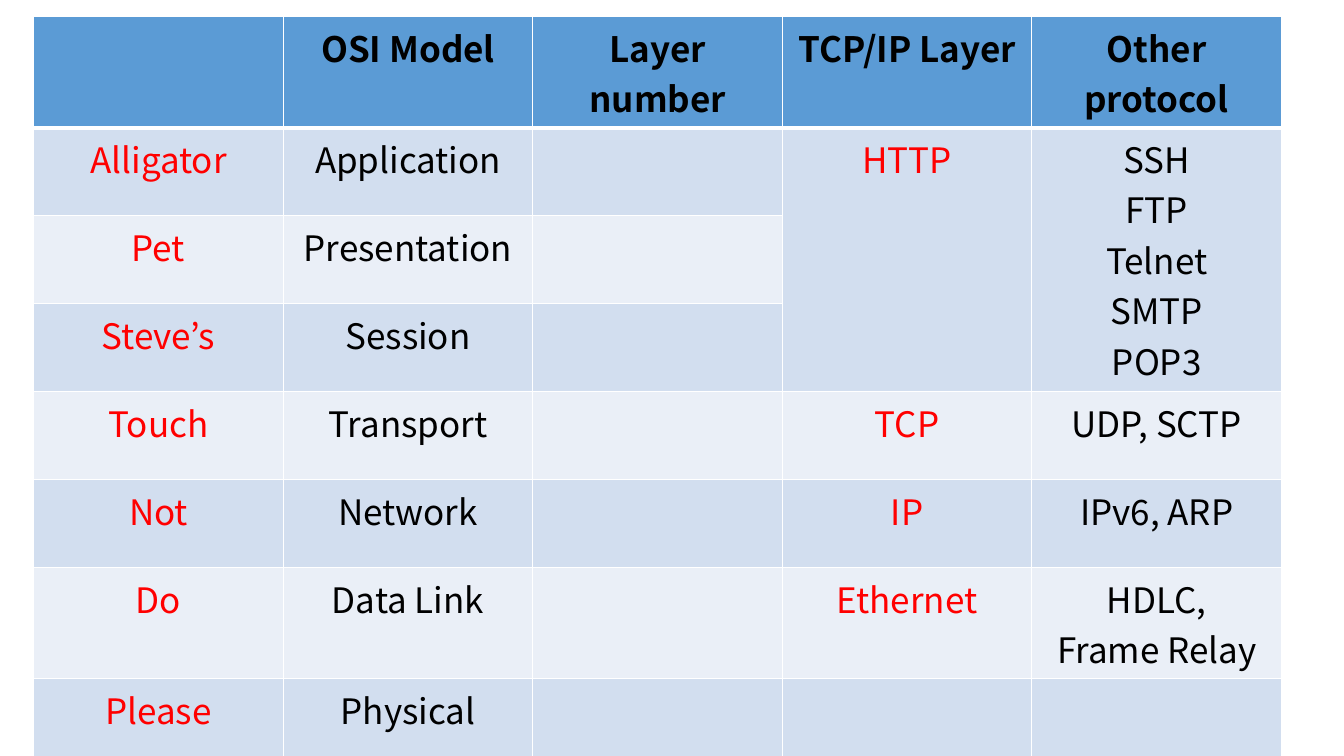
from dataclasses import dataclass

import lxml.etree
import pptx
import pptx.dml.color
import pptx.enum.text
import pptx.oxml.ns
import pptx.table
import pptx.util

Pt = pptx.util.Pt
RGBColor = pptx.dml.color.RGBColor

HEADER_BLUE = RGBColor(0x5B, 0x9B, 0xD5)
BAND_DARK = RGBColor(0xD2, 0xDE, 0xEF)
BAND_LIGHT = RGBColor(0xEA, 0xEF, 0xF7)
WHITE = RGBColor(0xFF, 0xFF, 0xFF)
BLACK = RGBColor(0x00, 0x00, 0x00)
RED = RGBColor(0xFF, 0x00, 0x00)

FONT = "Noto Sans CJK KR"
TEXT_SIZE = Pt(25)
TABLE_LEFT, TABLE_TOP = Pt(24.1), Pt(11.8)
COLUMN_WIDTH, ROW_HEIGHT = Pt(178.25), Pt(62.86)
THIN, THICK = Pt(1), Pt(3)


@dataclass(frozen=True)
class Layer:
    mnemonic: str
    osi: str
    tcp_ip: str = ""
    others: tuple[str, ...] = ()


HEADINGS = ("", "OSI Model", "Layer number", "TCP/IP Layer", "Other protocol")
LAYERS = (
    Layer("Alligator", "Application", "HTTP",
          ("SSH", "FTP", "Telnet", "SMTP", "POP3")),
    Layer("Pet", "Presentation"),
    Layer("Steve’s", "Session"),
    Layer("Touch", "Transport", "TCP", ("UDP, SCTP",)),
    Layer("Not", "Network", "IP", ("IPv6, ARP",)),
    Layer("Do", "Data Link", "Ethernet", ("HDLC,", "Frame Relay")),
    Layer("Please", "Physical"),
)
MERGED_COLUMNS = (3, 4)
MERGED_ROWS = (1, 3)


def add_border(cell: pptx.table._Cell, side: str, width: int) -> None:
    properties = cell._tc.get_or_add_tcPr()
    qn = pptx.oxml.ns.qn
    line = lxml.etree.SubElement(properties, qn(f"a:ln{side}"), w=str(int(width)))
    fill = lxml.etree.SubElement(line, qn("a:solidFill"))
    lxml.etree.SubElement(fill, qn("a:srgbClr"), val=str(WHITE))


def style_cell(cell: pptx.table._Cell, fill: RGBColor, top: int, bottom: int) -> None:
    for side, width in (("L", THIN), ("R", THIN), ("T", top), ("B", bottom)):
        add_border(cell, side, width)
    cell.fill.solid()
    cell.fill.fore_color.rgb = fill


def write_cell(cell: pptx.table._Cell, lines: tuple[str, ...], color: RGBColor,
               bold: bool = False) -> None:
    for index, line in enumerate(lines):
        frame = cell.text_frame
        paragraph = frame.add_paragraph() if index else frame.paragraphs[0]
        paragraph.alignment = pptx.enum.text.PP_ALIGN.CENTER
        run = paragraph.add_run()
        run.text = line
        run.font.name = FONT
        run.font.size = TEXT_SIZE
        run.font.bold = bold
        run.font.color.rgb = color


def main() -> None:
    presentation = pptx.Presentation()
    presentation.slide_width, presentation.slide_height = Pt(960), Pt(540)
    slide = presentation.slides.add_slide(presentation.slide_layouts[6])

    # Table grid
    row_count, column_count = len(LAYERS) + 1, len(HEADINGS)
    layers_table = slide.shapes.add_table(
        row_count, column_count, TABLE_LEFT, TABLE_TOP,
        COLUMN_WIDTH * column_count, ROW_HEIGHT * row_count).table
    for column in layers_table.columns:
        column.width = COLUMN_WIDTH
    for row in layers_table.rows:
        row.height = ROW_HEIGHT

    # Header row
    for column, heading in enumerate(HEADINGS):
        cell = layers_table.cell(0, column)
        style_cell(cell, HEADER_BLUE, THIN, THICK)
        if heading:
            write_cell(cell, (heading,), BLACK, bold=True)

    # One banded row per layer
    for row, layer in enumerate(LAYERS, start=1):
        band = BAND_DARK if row % 2 else BAND_LIGHT
        for column in range(column_count):
            style_cell(layers_table.cell(row, column), band,
                       THICK if row == 1 else THIN, THIN)
        write_cell(layers_table.cell(row, 0), (layer.mnemonic,), RED)
        write_cell(layers_table.cell(row, 1), (layer.osi,), BLACK)
        if layer.tcp_ip:
            write_cell(layers_table.cell(row, 3), (layer.tcp_ip,), RED)
        write_cell(layers_table.cell(row, 4), layer.others, BLACK)

    # The top three layers share their protocols
    first, last = MERGED_ROWS
    for column in MERGED_COLUMNS:
        layers_table.cell(first, column).merge(layers_table.cell(last, column))

    presentation.save("out.pptx")


if __name__ == "__main__":
    main()
